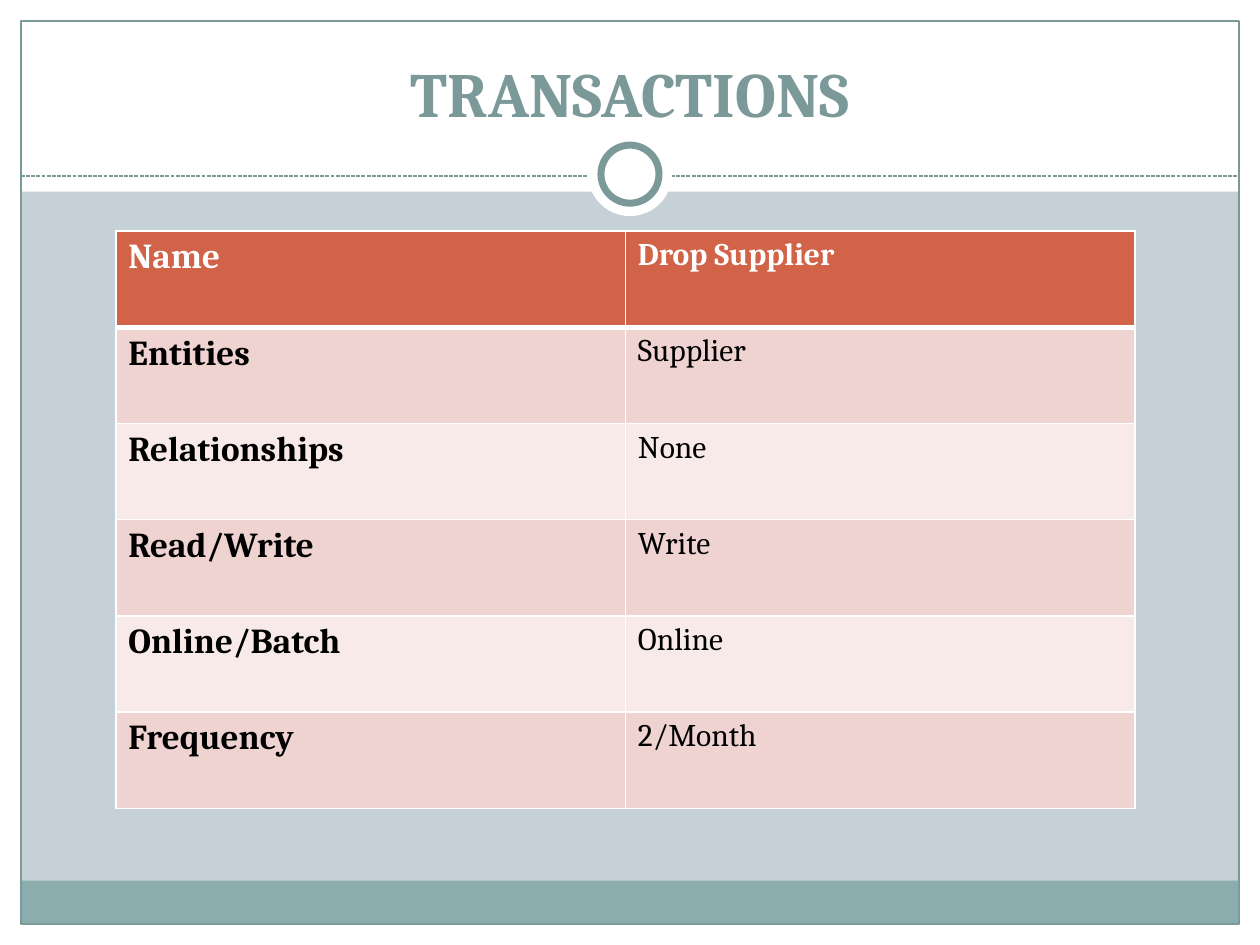
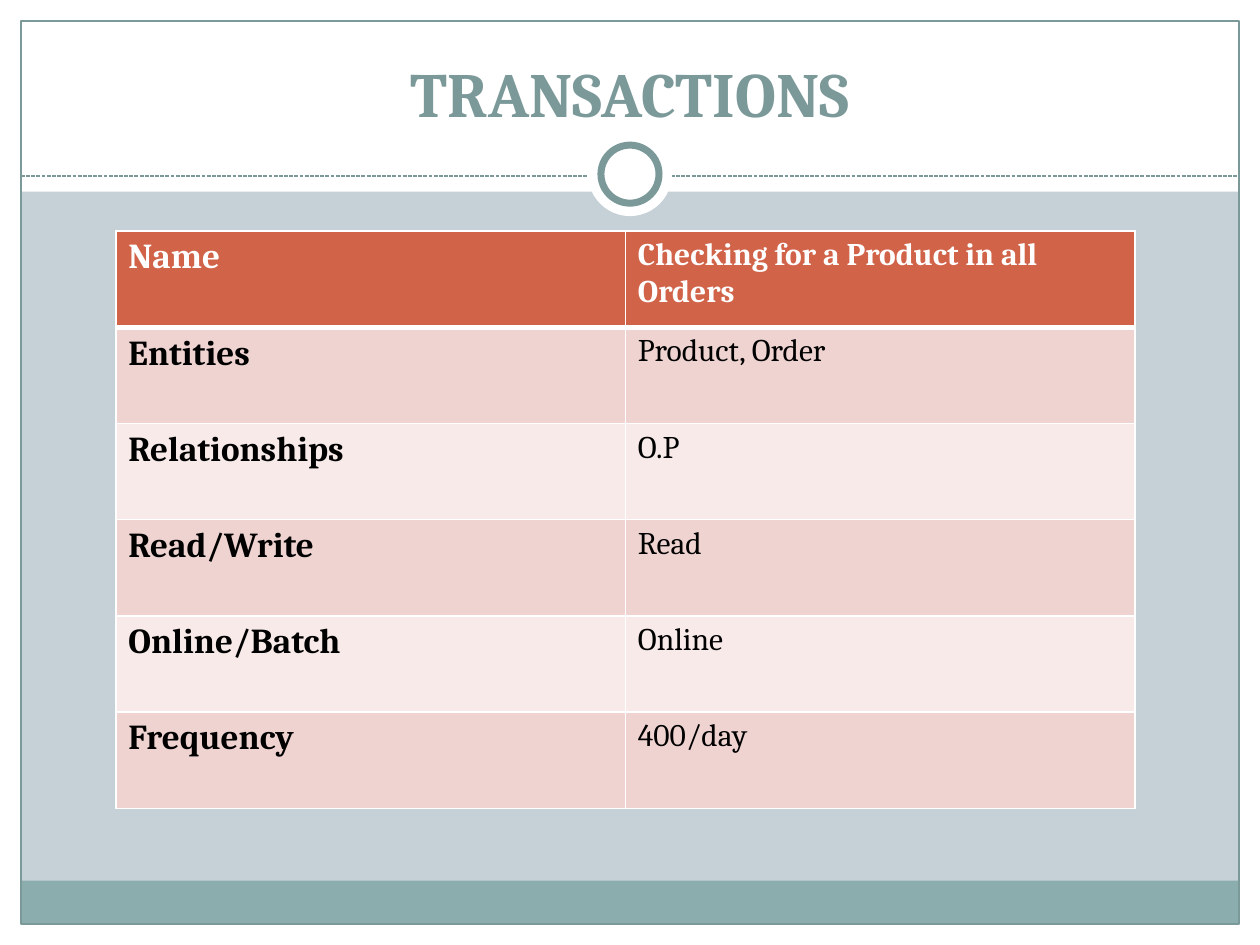
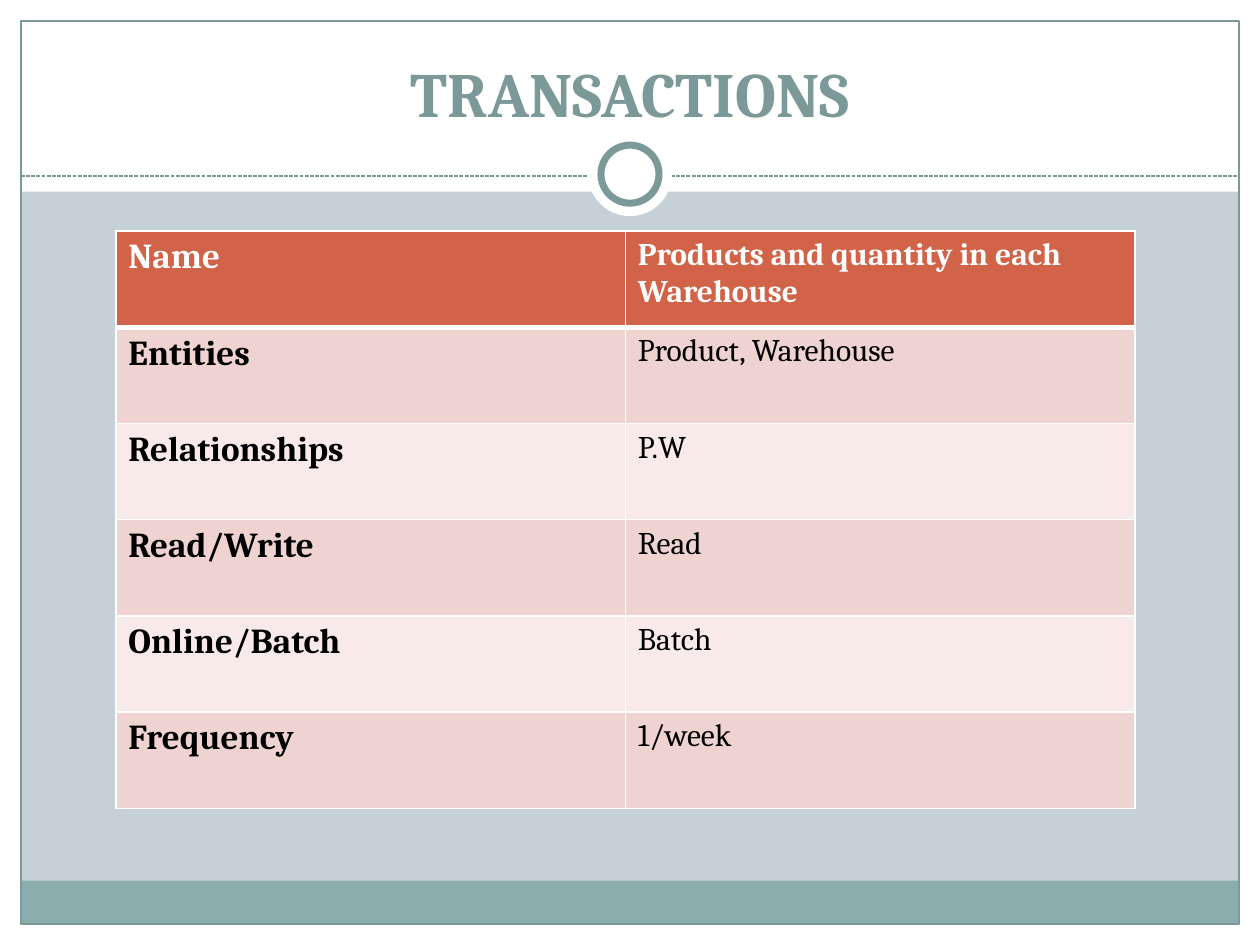
from lxml.etree import SubElement
from pptx import Presentation
from pptx.dml.color import RGBColor
from pptx.enum.dml import MSO_LINE
from pptx.enum.shapes import MSO_CONNECTOR, MSO_SHAPE
from pptx.enum.text import MSO_ANCHOR, PP_ALIGN
from pptx.oxml.ns import qn
from pptx.util import Pt

WHITE = RGBColor(0xFF, 0xFF, 0xFF)
BLACK = RGBColor(0x00, 0x00, 0x00)
BACKGROUND = RGBColor(0xC5, 0xD1, 0xD7)
FOOTER = RGBColor(0x8C, 0xAD, 0xAE)
ACCENT = RGBColor(0x7C, 0x99, 0x9A)
HEADER = RGBColor(0xD1, 0x63, 0x49)
ODD_ROW = RGBColor(0xEE, 0xD3, 0xD0)
EVEN_ROW = RGBColor(0xF7, 0xEA, 0xE9)

FONT = "Cambria"
WIDTH, HEIGHT, MARGIN = 720, 540, 12
COLUMN_WIDTH, ROW_HEIGHT = 291.2, 55
LABELS = ["Name", "Entities", "Relationships", "Read/Write", "Online/Batch", "Frequency"]
TRANSACTIONS = [
    ["Drop Supplier", "Supplier", "None", "Write", "Online", "2/Month"],
    ["Checking for a Product in all Orders", "Product, Order", "O.P", "Read", "Online", "400/day"],
    ["Products and quantity in each Warehouse", "Product, Warehouse", "P.W", "Read", "Batch", "1/week"],
]

RECTANGLE, OVAL = MSO_SHAPE.RECTANGLE, MSO_SHAPE.OVAL
BANDS = [
    (RECTANGLE, 0, HEIGHT - MARGIN, WIDTH, MARGIN, WHITE, None),
    (RECTANGLE, 0, 0, WIDTH, 109.5, WHITE, None),
    (RECTANGLE, 0, 0, MARGIN, HEIGHT, WHITE, None),
    (RECTANGLE, WIDTH - MARGIN, 0, MARGIN, HEIGHT, WHITE, None),
    (RECTANGLE, MARGIN, 503.3, WIDTH - 2 * MARGIN, 24.5, FOOTER, None),
    (RECTANGLE, MARGIN, MARGIN, WIDTH - 2 * MARGIN, HEIGHT - 2 * MARGIN, None, 0.75),
]
RINGS = [
    (OVAL, 336, 75.5, 48, 48, WHITE, None),
    (OVAL, 343.4, 82.9, 33.2, 33.2, WHITE, 4),
]


def add_shapes(page, shapes):
    for kind, left, top, width, height, fill, line_width in shapes:
        shape = page.shapes.add_shape(kind, Pt(left), Pt(top), Pt(width), Pt(height))
        shape.shadow.inherit = False
        if fill is None:
            shape.fill.background()
        else:
            shape.fill.solid()
            shape.fill.fore_color.rgb = fill
        if line_width is None:
            shape.line.fill.background()
        else:
            shape.line.color.rgb = ACCENT
            shape.line.width = Pt(line_width)


def add_span(para, text, color, **formats):
    span = para.add_run()
    span.text = text
    span.font.color.rgb = color
    for name, value in {"name": FONT, **formats}.items():
        setattr(span.font, name, value)


deck = Presentation()
deck.slide_width = Pt(WIDTH)
deck.slide_height = Pt(HEIGHT)

for values in TRANSACTIONS:
    page = deck.slides.add_slide(deck.slide_layouts[6])
    page.background.fill.solid()
    page.background.fill.fore_color.rgb = BACKGROUND

    add_shapes(page, BANDS)
    divider = page.shapes.add_connector(
        MSO_CONNECTOR.STRAIGHT, Pt(MARGIN), Pt(100.6), Pt(WIDTH - MARGIN), Pt(100.6)
    )
    divider.line.color.rgb = ACCENT
    divider.line.width = Pt(0.75)
    divider.line.dash_style = MSO_LINE.SQUARE_DOT
    SubElement(divider.element.spPr, qn("a:effectLst"))
    add_shapes(page, RINGS)

    title = page.shapes.add_textbox(Pt(24), Pt(18), Pt(672), Pt(59.8))
    title.text_frame.word_wrap = True
    title.text_frame.vertical_anchor = MSO_ANCHOR.BOTTOM
    para = title.text_frame.paragraphs[0]
    para.alignment = PP_ALIGN.CENTER
    add_span(para, "TRANSACTIONS", ACCENT, size=Pt(36), bold=True)

    table = page.shapes.add_table(
        len(LABELS), 2, Pt(66.2), Pt(132), Pt(2 * COLUMN_WIDTH), Pt(len(LABELS) * ROW_HEIGHT)
    ).table
    for column in table.columns:
        column.width = Pt(COLUMN_WIDTH)
    for row_index, texts in enumerate(zip(LABELS, values)):
        table.rows[row_index].height = Pt(ROW_HEIGHT)
        is_header = row_index == 0
        row_fill = HEADER if is_header else ODD_ROW if row_index % 2 else EVEN_ROW
        borders = {
            "a:lnL": 1,
            "a:lnR": 1,
            "a:lnT": 3 if row_index == 1 else 1,
            "a:lnB": 3 if is_header else 1,
        }
        for column_index, text in enumerate(texts):
            cell = table.cell(row_index, column_index)
            properties = cell._tc.get_or_add_tcPr()
            for tag, border_width in borders.items():
                border = SubElement(properties, qn(tag), w=str(Pt(border_width)))
                border_fill = SubElement(border, qn("a:solidFill"))
                SubElement(border_fill, qn("a:srgbClr"), val=str(WHITE))
            cell.fill.solid()
            cell.fill.fore_color.rgb = row_fill
            is_label = column_index == 0
            add_span(
                cell.text_frame.paragraphs[0],
                text,
                WHITE if is_header else BLACK,
                size=Pt(20 if is_label else 18),
                bold=is_header or is_label,
            )

deck.save("out.pptx")
